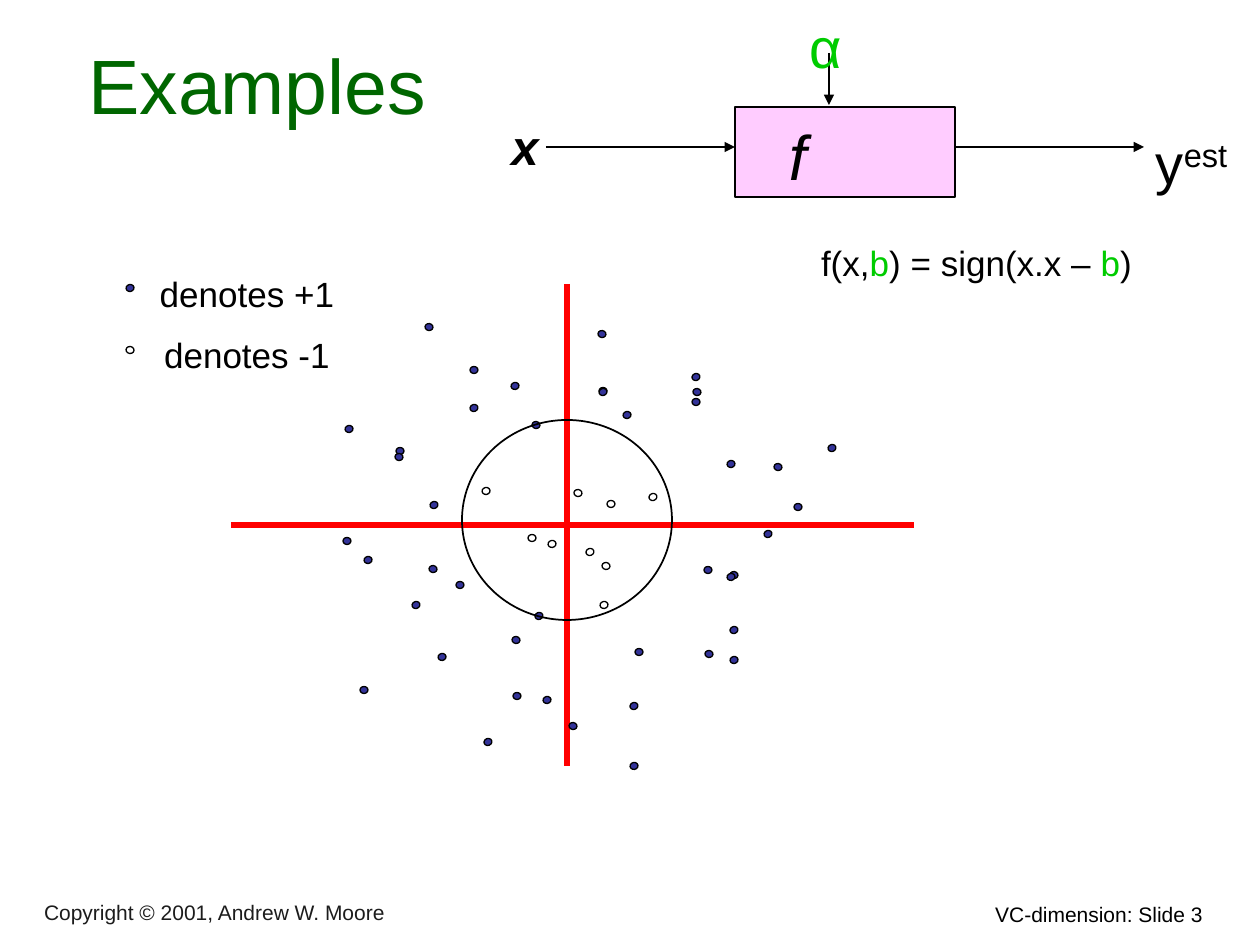
import pptx
import pptx.util
import pptx.dml.color
import pptx.enum.shapes
import pptx.enum.text
import pptx.oxml
import pptx.oxml.ns

RGBColor = pptx.dml.color.RGBColor
SHAPE = pptx.enum.shapes.MSO_SHAPE
ALIGN = pptx.enum.text.PP_ALIGN
ANCHOR = pptx.enum.text.MSO_ANCHOR

BLACK = RGBColor(0x00, 0x00, 0x00)
CHARCOAL = RGBColor(0x1C, 0x1C, 0x1C)
WHITE = RGBColor(0xFF, 0xFF, 0xFF)
DARK_GREEN = RGBColor(0x00, 0x66, 0x00)
GREEN = RGBColor(0x00, 0xCC, 0x00)
RED = RGBColor(0xFF, 0x00, 0x00)
PINK = RGBColor(0xFF, 0xCC, 0xFF)
NAVY = RGBColor(0x33, 0x33, 0x99)

FONT = "Arial"
PX = 914400 // 126

# Content: frame (left, top, width, height), paragraphs of (text, run format), format
LABELS = [
    ((721, 893, 494, 38), [[("VC-dimension: Slide 3", {})]],
     dict(size=12, align=ALIGN.RIGHT)),
    ((32, 896, 699, 35), [[("Copyright © 2001, Andrew W. Moore", {})]],
     dict(size=12, color=CHARCOAL, align=ALIGN.LEFT, anchor=ANCHOR.BOTTOM)),
    ((483, 105, 84, 72), [[("x", {})]], dict(size=28, bold=True, italic=True)),
    ((798, 0, 53, 79), [[("α", {})]], dict(size=32, color=GREEN)),
    ((1144, 116, 116, 79), [[("y", {}), ("est", {"raised": True})]],
     dict(size=32, align=ALIGN.LEFT)),
    ((756, 231, 441, 54),
     [[("f(x,", {}), ("b", {"color": GREEN}), (") = sign(x.x – ", {}),
       ("b", {"color": GREEN}), (")", {})]], dict(size=20)),
    ((116, 262, 262, 117), [[("denotes +1", {})], [("denotes -1", {})]],
     dict(size=20, gap=11)),
]

# Lines: start, end
ARROWS = [((546, 147), (735, 147)), ((829, 53), (829, 105)), ((955, 147), (1144, 147))]
AXES = [((567, 284), (567, 766)), ((231, 525), (914, 525))]

# Data points: rotation -> centres, for each class
POSITIVE = {
    0: [(460, 585), (798, 507), (517, 696), (639, 652), (347, 541), (603, 391),
        (474, 370), (364, 690), (400, 451), (708, 570), (696, 402)],
    341.4: [(539, 616), (832, 448), (634, 706), (734, 630), (416, 605), (603, 392),
            (474, 408), (488, 742), (434, 505), (768, 534), (696, 377)],
    98.3: [(536, 425), (573, 726), (399, 457), (433, 569), (602, 334), (734, 575),
           (778, 467), (429, 327), (697, 392), (516, 640), (709, 654)],
    79.6: [(634, 766), (368, 560), (442, 657), (515, 386), (731, 577), (731, 464),
           (349, 429), (627, 415), (547, 700), (734, 660)],
}
NEGATIVE = {
    0: [(532, 538), (611, 504)],
    341.4: [(590, 552), (653, 497)],
    98.3: [(578, 493), (606, 566)],
    79.6: [(486, 491), (552, 544), (604, 605)],
}
LEGEND_POSITIVE = {79.6: [(130, 288)]}
LEGEND_NEGATIVE = {98.3: [(130, 350)]}


def place(numbers):
    return [round(number * PX) for number in numbers]


def write(box, paragraphs, size=20, color=BLACK, bold=False, italic=False,
          align=ALIGN.CENTER, anchor=ANCHOR.TOP, left=12, top=None, gap=0):
    frame = box.text_frame
    frame.word_wrap = True
    frame.auto_size = pptx.enum.text.MSO_AUTO_SIZE.NONE
    frame.vertical_anchor = anchor
    frame.margin_left, frame.margin_right = place((left, 12))
    # Larger text sits a little lower in its frame
    frame.margin_top, frame.margin_bottom = place((6 + size / 5 if top is None else top, 6))
    for index, spans in enumerate(paragraphs):
        para = frame.add_paragraph() if index else frame.paragraphs[0]
        para.alignment = align
        para.space_before = pptx.util.Pt(gap if index else 0)
        for text, style in spans:
            span = para.add_run()
            span.text = text
            font = span.font
            font.name, font.size = FONT, pptx.util.Pt(size)
            font.bold, font.italic = bold, italic
            font.color.rgb = style.get("color", color)
            if style.get("raised"):
                span._r.get_or_add_rPr().set("baseline", "30000")


def add_outline(page, kind, frame, fill=None, weight=1):
    shape = page.shapes.add_shape(kind, *place(frame))
    shape.shadow.inherit = False
    if fill is None:
        shape.fill.background()
    else:
        shape.fill.solid()
        shape.fill.fore_color.rgb = fill
    shape.line.color.rgb = BLACK
    shape.line.width = pptx.util.Pt(weight)
    return shape


def add_line(page, start, end, color, weight, arrow=False):
    line = page.shapes.add_connector(
        pptx.enum.shapes.MSO_CONNECTOR.STRAIGHT, *place(start + end))
    line.line.color.rgb = color
    line.line.width = pptx.util.Pt(weight)
    qn = pptx.oxml.ns.qn
    properties = line._element.spPr
    if arrow:
        head = properties.find(qn("a:ln")).makeelement(qn("a:tailEnd"), {"type": "triangle"})
        properties.find(qn("a:ln")).append(head)
    properties.append(properties.makeelement(qn("a:effectLst"), {}))


def add_points(page, groups, fill):
    for rotation, centres in groups.items():
        width, height = (7, 8) if 45 < rotation < 135 else (8, 7)
        for x, y in centres:
            point = add_outline(page, SHAPE.OVAL,
                                (x - width / 2, y - height / 2, width, height), fill, 0.75)
            point.rotation = rotation


def main():
    deck = pptx.Presentation()
    deck.slide_width, deck.slide_height = place((1260, 945))
    page = deck.slides.add_slide(deck.slide_layouts[5])

    # Title
    title = page.shapes.title
    title.left, title.top, title.width, title.height = place((21, 42, 451, 94))
    write(title, [[("Examples", {})]], size=44, color=DARK_GREEN,
          anchor=ANCHOR.BOTTOM, left=34, top=6)

    # Function box with its inputs and output
    function = add_outline(page, SHAPE.RECTANGLE, (735, 107, 220, 90), PINK)
    write(function, [[("f", {})]], size=36, italic=True, align=ALIGN.LEFT,
          anchor=ANCHOR.MIDDLE, left=54)
    for start, end in ARROWS:
        add_line(page, start, end, BLACK, 1, arrow=True)

    # Scatter of the two classes and the circular boundary
    for start, end in AXES:
        add_line(page, start, end, RED, 3)
    add_points(page, POSITIVE, NAVY)
    add_points(page, NEGATIVE, WHITE)
    add_outline(page, SHAPE.OVAL, (462, 420, 210, 200))

    # Labels, footer and legend
    for frame, paragraphs, style in LABELS:
        write(page.shapes.add_textbox(*place(frame)), paragraphs, **style)
    add_points(page, LEGEND_POSITIVE, NAVY)
    add_points(page, LEGEND_NEGATIVE, WHITE)

    deck.save("out.pptx")


if __name__ == "__main__":
    main()
